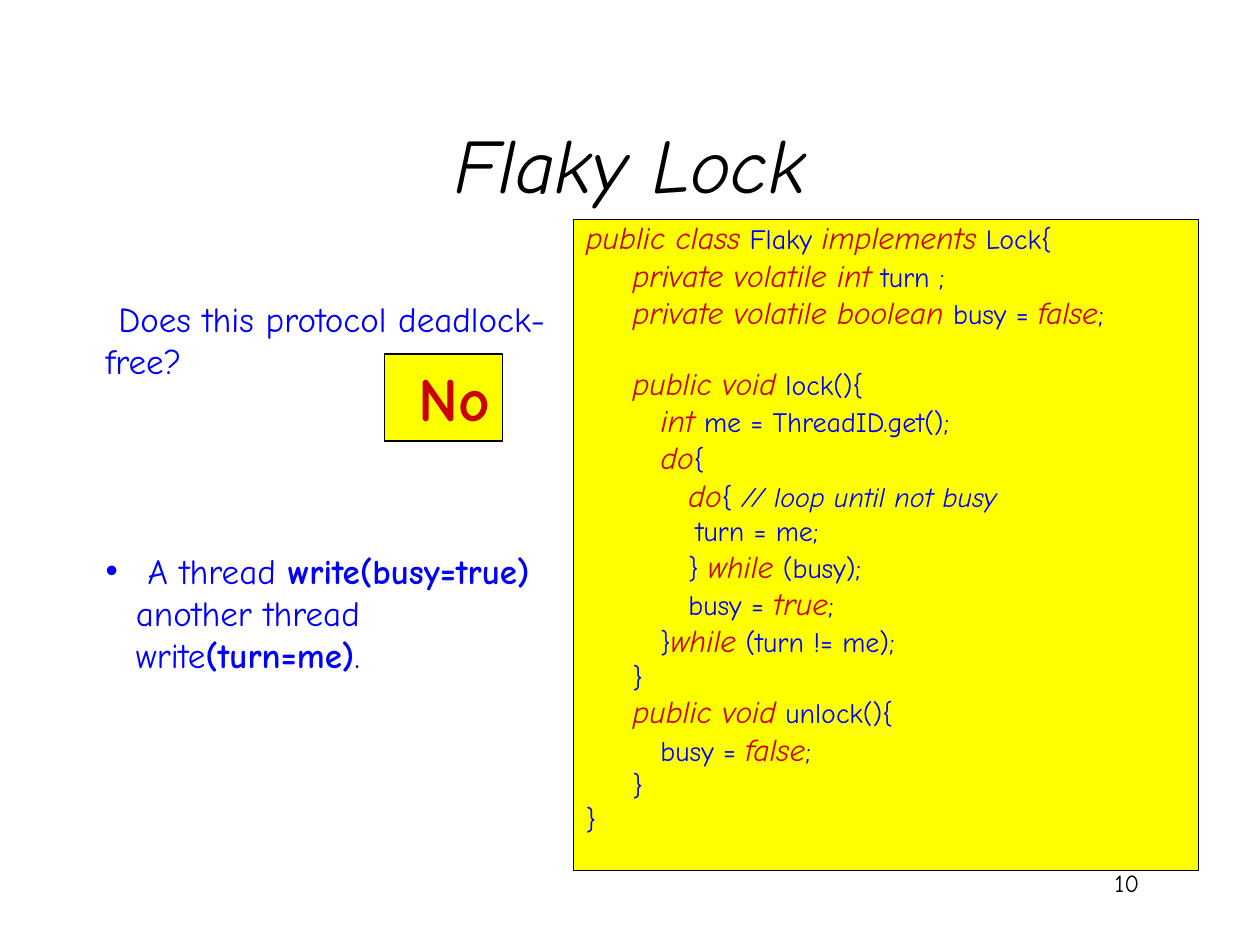
from lxml.etree import SubElement as Sub
from pptx import Presentation
from pptx.dml.color import RGBColor as Rgb
from pptx.enum.shapes import MSO_SHAPE as Kind
from pptx.enum.text import MSO_ANCHOR as Anchor, MSO_AUTO_SIZE as Fit, PP_ALIGN as Align
from pptx.oxml.ns import qn
from pptx.util import Inches, Pt

FONT = "Comic Neue"
HUES = {"ink": "000000", "text": "0000FF", "key": "CC0000", "fill": "FFFF00"}

# Stars enclose keywords and comments
CODE = """\
*public class* Flaky *implements* Lock{
\t*private volatile int* turn ;
\t*private volatile boolean* busy = *false*;
\t
\t*public void* lock(){
\t   *int* me = ThreadID.get();
\t   *do*{
\t      *do*{* // loop until not busy*
\t\tturn = me;
\t      } *while* (busy);
\t      busy = *true*;
\t   }*while* (turn != me);
\t}
\t*public void* unlock(){
\t   busy = *false*;
\t}
}""".split("\n")


def hue(name):
    return Rgb.from_string(HUES[name])


def write(para, text, size=20, color="text", bold=False, italic=False):
    run = para.add_run()
    run.text = text
    font = run.font
    font.name, font.size = FONT, Pt(size)
    font.bold, font.italic = bold, italic
    font.color.rgb = hue(color)


def place(shape, box):
    shape.left, shape.top, shape.width, shape.height = map(Inches, box)


def paint(shape):
    shape.fill.solid()
    shape.fill.fore_color.rgb = hue("fill")
    shape.line.color.rgb = hue("ink")
    shape.line.width = Pt(0.75)


def indent(para, left, first, mark=None):
    props = para._p.get_or_add_pPr()
    props.set("marL", str(Inches(left)))
    props.set("indent", str(Inches(first)))
    if mark:
        tint = Sub(props, qn("a:buClr"))
        Sub(tint, qn("a:srgbClr"), val=HUES["text"])
        Sub(props, qn("a:buFont"), typeface="Arial")
        Sub(props, qn("a:buChar"), char=mark)
    else:
        Sub(props, qn("a:buNone"))
    return props


def add_title(slide, box):
    title = slide.shapes.title
    place(title, box)
    frame = title.text_frame
    frame.vertical_anchor = Anchor.MIDDLE
    para = frame.paragraphs[0]
    para.alignment = Align.CENTER
    write(para, "Flaky Lock", size=44, color="ink", italic=True)


def add_code(slide, box):
    body = slide.placeholders[1]
    place(body, box)
    paint(body)
    frame = body.text_frame
    frame.auto_size = Fit.NONE
    frame.vertical_anchor = Anchor.TOP
    for row, line in enumerate(CODE):
        para = frame.add_paragraph() if row else frame.paragraphs[0]
        tabs = Sub(indent(para, 0.37, -0.37), qn("a:tabLst"))
        for stop in range(1, 9):
            Sub(tabs, qn("a:tab"), pos=str(Inches(stop)), algn="l")
        para.line_spacing = 0.8
        para.space_before = Pt(4 if row else 0)
        for spot, part in enumerate(line.split("*")):
            if not part:
                continue
            marked = spot % 2 == 1
            key = marked and "//" not in part
            write(para, part, size=18 if key else 16,
                  color="key" if key else "text", italic=marked)


def add_notes(slide, box):
    frame = slide.shapes.add_textbox(*map(Inches, box)).text_frame
    frame.word_wrap = True
    ask = frame.paragraphs[0]
    indent(ask, 0, 0.1)
    write(ask, "Does this protocol deadlock-free?")
    case = frame.add_paragraph()
    indent(case, 0.24, -0.24, mark="•")
    case.space_before = Pt(96)
    parts = (" A thread ", "write(busy=true)", " another thread write",
             "(turn=me)", ".")
    for spot, part in enumerate(parts):
        write(case, part, bold=spot % 2 == 1)


def add_answer(slide, box):
    shape = slide.shapes.add_shape(Kind.RECTANGLE, *map(Inches, box))
    shape.shadow.inherit = False
    paint(shape)
    frame = shape.text_frame
    frame.word_wrap = False
    frame.vertical_anchor = Anchor.TOP
    para = frame.paragraphs[0]
    para.alignment = Align.RIGHT
    write(para, "No", size=35, color="key", bold=True)


def add_number(slide, box):
    frame = slide.shapes.add_textbox(*map(Inches, box)).text_frame
    frame.word_wrap = True
    para = frame.paragraphs[0]
    para.alignment = Align.RIGHT
    write(para, "10", size=14, color="ink")


def main():
    deck = Presentation()
    deck.slide_width, deck.slide_height = Inches(10), Inches(7.5)
    slide = deck.slides.add_slide(deck.slide_layouts[1])
    add_number(slide, (7.06, 6.84, 2.08, 0.5))
    add_title(slide, (0.75, 0.67, 8.5, 1.25))
    add_code(slide, (4.55, 1.74, 4.96, 5.17))
    add_notes(slide, (0.74, 2.31, 3.79, 3.44))
    add_answer(slide, (3.05, 2.81, 0.94, 0.69))
    deck.save("out.pptx")


if __name__ == "__main__":
    main()
